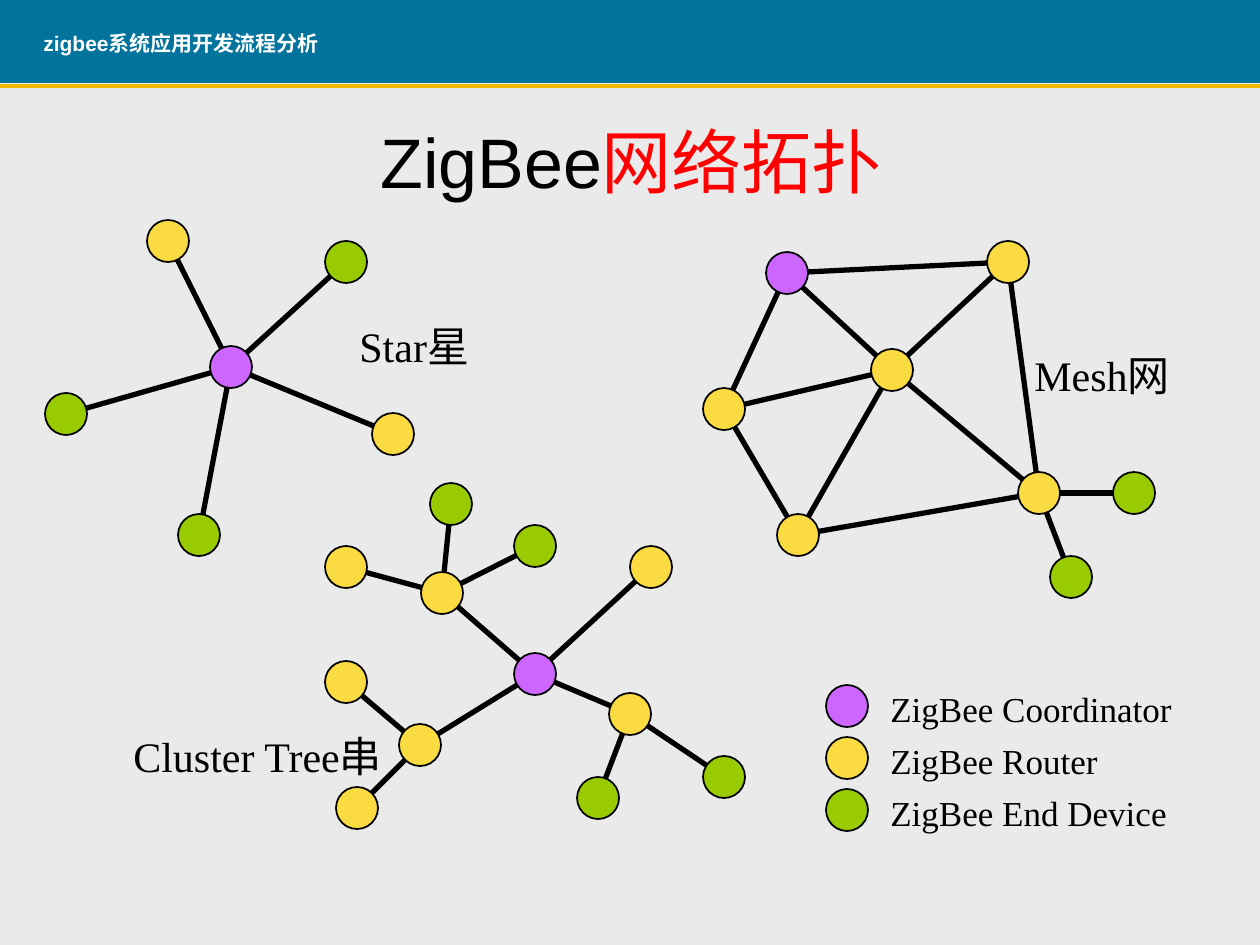
from lxml import etree
from pptx import Presentation
from pptx.dml.color import RGBColor
from pptx.enum.shapes import MSO_CONNECTOR, MSO_SHAPE
from pptx.enum.text import MSO_ANCHOR, MSO_AUTO_SIZE, PP_ALIGN
from pptx.oxml.ns import qn
from pptx.util import Emu, Pt

STRAIGHT, OVAL, RECT = MSO_CONNECTOR.STRAIGHT, MSO_SHAPE.OVAL, MSO_SHAPE.RECTANGLE

COLORS = {
    "page": "EAEAEA", "band": "01739C", "rule": "F3B800", "white": "FFFFFF",
    "black": "000000", "red": "FF0000",
    "coordinator": "CC66FF", "router": "FADB42", "end": "99CC00",
}
SANS, SERIF = "Arial", "Times New Roman"
SLIDE_W, SLIDE_H = 1260, 945
BAND_H, RULE_Y = 83, 86
NODE_D = 42

HEADER = "zigbee系统应用开发流程分析"
TITLE = [("ZigBee", "black"), ("网络拓扑", "red")]

# Each network: nodes as name -> (role, centre x, centre y), and links by name
NETWORKS = [
    {"nodes": {
        "hub": ("coordinator", 231, 367),
        "n": ("router", 168, 241), "se": ("router", 393, 434),
        "ne": ("end", 346, 262), "w": ("end", 66, 414), "s": ("end", 199, 535)},
     "links": ["hub n", "hub se", "hub ne", "hub w", "hub s"]},
    {"nodes": {
        "root": ("coordinator", 787, 273),
        "mid": ("router", 892, 370), "w": ("router", 724, 409),
        "s": ("router", 798, 535), "ne": ("router", 1008, 262),
        "se": ("router", 1039, 493),
        "e1": ("end", 1134, 493), "e2": ("end", 1071, 577)},
     "links": ["w mid", "w root", "mid root", "mid ne", "root ne", "mid se",
               "s mid", "w s", "ne se", "s se", "se e1", "se e2"]},
    {"nodes": {
        "root": ("coordinator", 535, 674),
        "top": ("router", 442, 593), "top1": ("router", 346, 567),
        "top2": ("end", 451, 504), "top3": ("end", 535, 546),
        "ne": ("router", 651, 567),
        "left": ("router", 420, 745), "left1": ("router", 346, 682),
        "left2": ("router", 357, 808),
        "right": ("router", 630, 714), "right1": ("end", 724, 777),
        "right2": ("end", 598, 798)},
     "links": ["root top", "root ne", "root left", "root right",
               "top top1", "top top2", "top top3", "left left1", "left left2",
               "right right1", "right right2"]},
]
# Text, left, top, width
NETWORK_LABELS = [
    ("Star星", 347, 314, 160),
    ("Mesh网", 1022, 343, 185),
    ("Cluster Tree串", 121, 724, 300),
]
LEGEND = [
    ("coordinator", "ZigBee Coordinator", 320),
    ("router", "ZigBee Router", 245),
    ("end", "ZigBee End Device", 315),
]
LEGEND_X, LEGEND_Y, LEGEND_STEP = 847, 706, 52


def px(n):
    return Emu(round(n * 914400 / 126))


def rgb(name):
    return RGBColor.from_string(COLORS[name])


def add_line(x1, y1, x2, y2, color, width):
    line = slide.shapes.add_connector(STRAIGHT, px(x1), px(y1), px(x2), px(y2))
    line.line.color.rgb = rgb(color)
    line.line.width = Pt(width)
    etree.SubElement(line._element.spPr, qn("a:effectLst"))


def add_node(role, x, y):
    """Draw one network node centred on x, y."""
    r = NODE_D / 2
    sp = slide.shapes.add_shape(OVAL, px(x - r), px(y - r), px(NODE_D), px(NODE_D))
    sp.shadow.inherit = False
    sp.fill.solid()
    sp.fill.fore_color.rgb = rgb(role)
    sp.line.color.rgb = rgb("black")
    sp.line.width = Pt(1)


def add_run(p, text, size, font, color, bold=False):
    r = p.add_run()
    r.text = text
    r.font.size, r.font.name, r.font.bold = Pt(size), font, bold
    r.font.color.rgb = rgb(color)


def add_label(text, x, y, w, h, size, font=SERIF, color="black", bold=False):
    tf = slide.shapes.add_textbox(px(x), px(y), px(w), px(h)).text_frame
    tf.word_wrap = True
    tf.auto_size = MSO_AUTO_SIZE.NONE
    add_run(tf.paragraphs[0], text, size, font, color, bold)


prs = Presentation()
prs.slide_width, prs.slide_height = px(SLIDE_W), px(SLIDE_H)
slide = prs.slides.add_slide(prs.slide_layouts[5])
slide.background.fill.solid()
slide.background.fill.fore_color.rgb = rgb("page")

band = slide.shapes.add_shape(RECT, 0, 0, px(SLIDE_W), px(BAND_H))
band.shadow.inherit = False
band.fill.solid()
band.fill.fore_color.rgb = rgb("band")
band.line.fill.background()
add_line(0, RULE_Y, SLIDE_W, RULE_Y, "rule", 2.5)
add_label(HEADER, 31, 24, 586, 38, 12, SANS, "white", True)

title = slide.shapes.title
title.left, title.top, title.width, title.height = px(64), px(95), px(1134), px(130)
title.text_frame.vertical_anchor = MSO_ANCHOR.MIDDLE
p = title.text_frame.paragraphs[0]
p.alignment = PP_ALIGN.CENTER
for text, color in TITLE:
    add_run(p, text, 40, SANS, color)

for network in NETWORKS:
    nodes = network["nodes"]
    for link in network["links"]:
        (_, x1, y1), (_, x2, y2) = (nodes[name] for name in link.split())
        add_line(x1, y1, x2, y2, "black", 3)
    for node in nodes.values():
        add_node(*node)

for text, x, y, w in NETWORK_LABELS:
    add_label(text, x, y, w, 63, 24)

for i, (role, text, w) in enumerate(LEGEND):
    y = LEGEND_Y + i * LEGEND_STEP
    add_node(role, LEGEND_X, y)
    add_label(text, LEGEND_X + 31, y - 25, w, 55, 20)

prs.save("out.pptx")
